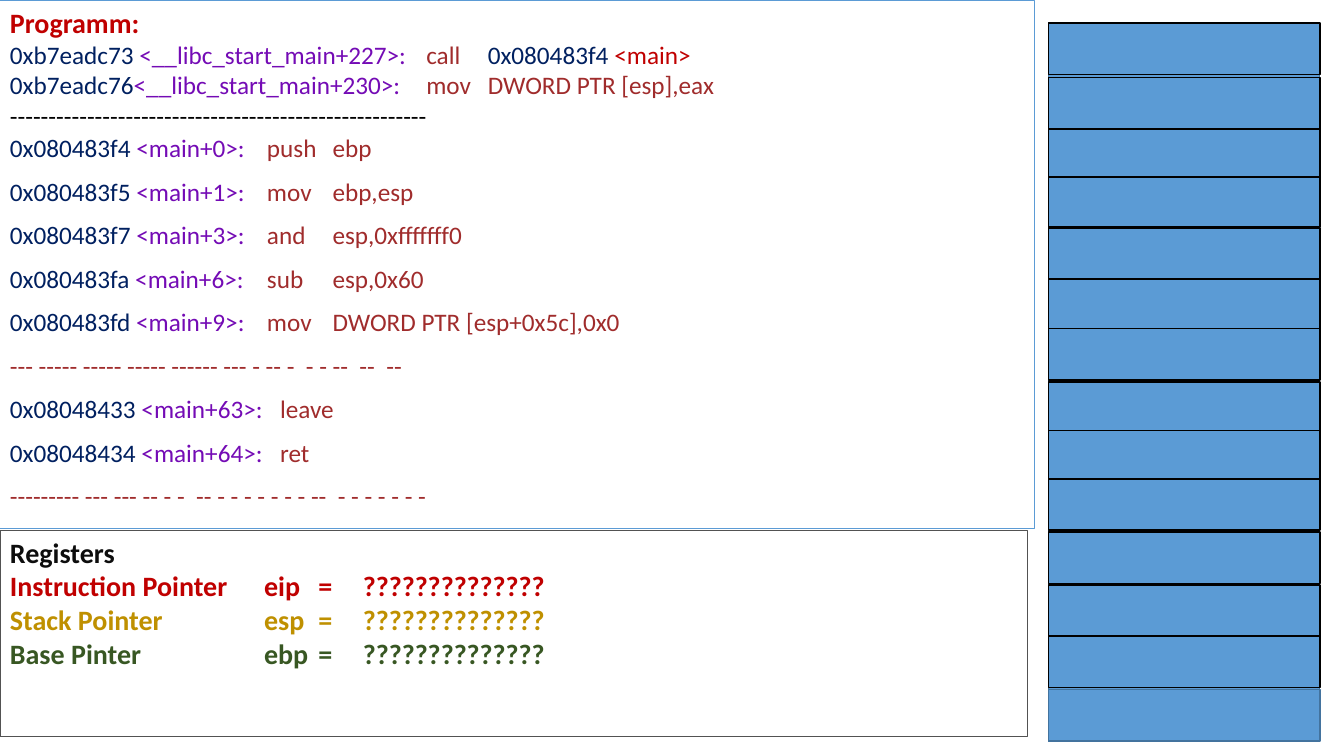
from lxml import etree
from pptx import Presentation
from pptx.dml.color import RGBColor
from pptx.enum.shapes import MSO_SHAPE
from pptx.enum.text import MSO_ANCHOR, PP_ALIGN
from pptx.oxml.ns import qn
from pptx.util import Inches, Pt

RECT = MSO_SHAPE.RECTANGLE
LEFT = PP_ALIGN.LEFT
TOP = MSO_ANCHOR.TOP

BLUE, BLACK, RED = "5B9BD5", "000000", "C00000"
NAVY, PURPLE, BROWN = "002060", "740BB5", "A02C2C"

CALL_TABS = (4.13, 4.74)
MAIN_TABS = (2.55, 3.2)
END_TABS = (2.68,)
REGISTER_TABS = (2.52, 3.06, 3.5)

CALLER = [
    [("0xb7eadc73 ", NAVY), ("<__libc_start_main+227>:", PURPLE),
     ("\tcall\t", BROWN), ("0x080483f4", NAVY), (" <main>", RED)],
    [("0xb7eadc76", NAVY), ("<__libc_start_main+230>:", PURPLE),
     ("\tmov\tDWORD PTR [esp],eax", BROWN)],
    [("-" * 54, BLACK)],
]
MAIN = [
    ("0x080483f4", "<main+0>:", "push\tebp", MAIN_TABS),
    ("0x080483f5", "<main+1>:", "mov\tebp,esp", MAIN_TABS),
    ("0x080483f7", "<main+3>:", "and\tesp,0xfffffff0", MAIN_TABS),
    ("0x080483fa", "<main+6>:", "sub\tesp,0x60", MAIN_TABS),
    ("0x080483fd", "<main+9>:", "mov\tDWORD PTR [esp+0x5c],0x0", MAIN_TABS),
    "--- ----- ----- ----- ------ --- - -- -  - - --  --  --",
    ("0x08048433", "<main+63>:", "leave", END_TABS),
    ("0x08048434", "<main+64>:", "ret", END_TABS),
    "--------- --- --- -- - -  -- - - - - - - - --  - - - - - - -",
]
REGISTERS = [
    ("Instruction Pointer", "eip", RED),
    ("Stack Pointer", "esp", "BF9000"),
    ("Base Pinter", "ebp", "385723"),
]
# Cell offsets from the top of the stack, back to front
CELL_OFFSETS = (2.03, 2.54, 3.03, 3.56, 4.04, 4.52, 5.05, 5.57, 6.08,
                1.51, 1.02, 0.54, 0)


def rgb(color):
    return RGBColor.from_string(color)


def add_rect(s, x, y, w, h, line, width, fill=None):
    sp = s.shapes.add_shape(RECT, Inches(x), Inches(y), Inches(w), Inches(h))
    sp.shadow.inherit = False
    if fill:
        sp.fill.solid()
        sp.fill.fore_color.rgb = rgb(fill)
    else:
        sp.fill.background()
    sp.line.color.rgb = rgb(line)
    sp.line.width = Pt(width)
    return sp


def add_text_panel(s, x, y, w, h, line):
    tf = add_rect(s, x, y, w, h, line, 0.75).text_frame
    tf.word_wrap = True
    tf.vertical_anchor = TOP
    return tf


def add_line(tf, runs, size, bold=False, tabs=(), spaced=False):
    """Write (text, colour) runs into the first free paragraph of the frame."""
    p = tf.paragraphs[0] if not tf.text else tf.add_paragraph()
    p.alignment = LEFT
    if spaced:
        p.line_spacing = 1.07
        p.space_after = Pt(8)
    if tabs:
        tab_list = etree.SubElement(p._p.get_or_add_pPr(), qn("a:tabLst"))
        for pos in tabs:
            etree.SubElement(tab_list, qn("a:tab"), pos=str(Inches(pos)), algn="l")
    p.font.size = Pt(size)
    p.font.name = "Calibri"
    p.font.bold = bold
    for text, color in runs:
        r = p.add_run()
        r.text = text
        r.font.color.rgb = rgb(color)


def add_program(s, x, y, w, h):
    tf = add_text_panel(s, x, y, w, h, BLUE)
    add_line(tf, [("Programm:", RED)], 20, bold=True)
    for runs in CALLER:
        add_line(tf, runs, 18, tabs=CALL_TABS)
    for row in MAIN:
        if isinstance(row, str):
            add_line(tf, [(row, BROWN)], 18, spaced=True)
            continue
        address, label, code, tabs = row
        runs = [(address + " ", NAVY), (label, PURPLE), ("\t" + code, BROWN)]
        add_line(tf, runs, 18, tabs=tabs, spaced=True)


def add_registers(s, x, y, w, h):
    tf = add_text_panel(s, x, y, w, h, "525252")
    add_line(tf, [("Registers", "0D0D0D")], 20, bold=True)
    for name, register, color in REGISTERS:
        text = f"{name}\t{register}\t=\t" + "?" * 14
        add_line(tf, [(text, color)], 20, bold=True, tabs=REGISTER_TABS)


def add_stack(s, x, y, w, h):
    cell_h = 0.51
    add_rect(s, x, y, w, h, "43739E", 1, BLUE)
    add_rect(s, x, y + h - cell_h, w, cell_h, "43739E", 1.25, BLUE)
    for offset in CELL_OFFSETS:
        add_rect(s, x, y + offset, w, cell_h, BLACK, 1.25, BLUE)


def main():
    prs = Presentation()
    prs.slide_width, prs.slide_height = Inches(13.33), Inches(7.5)
    s = prs.slides.add_slide(prs.slide_layouts[6])
    add_stack(s, 10.4, 0.23, 2.69, 7.12)
    add_program(s, 0, 0.01, 10.26, 5.23)
    add_registers(s, 0, 5.26, 10.19, 2.05)
    prs.save("out.pptx")


if __name__ == "__main__":
    main()
